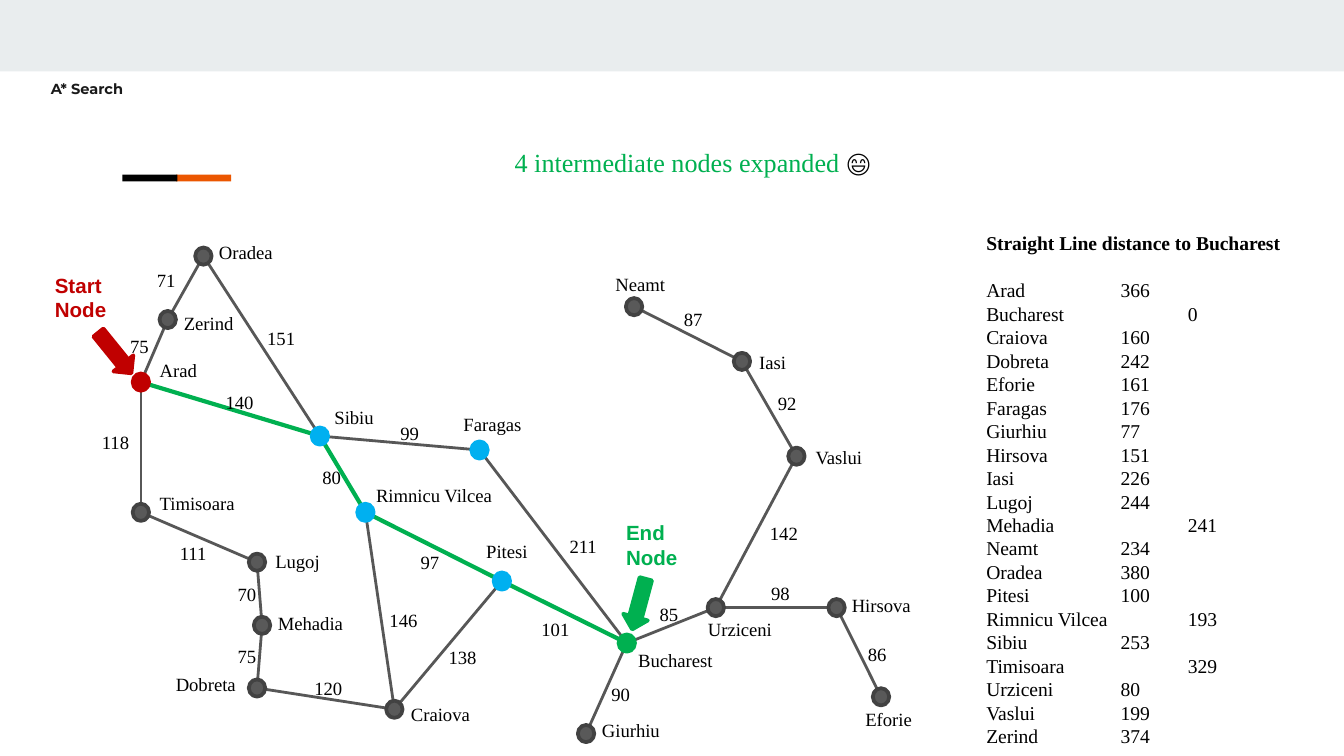
from math import hypot
from lxml import etree
from pptx import Presentation
from pptx.dml.color import RGBColor
from pptx.enum.shapes import MSO_CONNECTOR, MSO_SHAPE
from pptx.oxml.ns import qn
from pptx.util import Pt

RECT, OVAL, ARROW = MSO_SHAPE.RECTANGLE, MSO_SHAPE.OVAL, MSO_SHAPE.LEFT_ARROW
LINE = MSO_CONNECTOR.STRAIGHT
BLACK = RGBColor(0x00, 0x00, 0x00)
INK = RGBColor(0x1A, 0x1A, 0x1A)
BAND = RGBColor(0xE9, 0xED, 0xEE)
ORANGE = RGBColor(0xEB, 0x56, 0x00)
GRAY = RGBColor(0x59, 0x59, 0x59)
DARK = RGBColor(0x42, 0x42, 0x42)
ROAD = RGBColor(0x57, 0x57, 0x57)
BLUE = RGBColor(0x00, 0xB0, 0xF0)
RED = RGBColor(0xC0, 0x00, 0x00)
GREEN = RGBColor(0x00, 0xB0, 0x50)
SERIF = "Times New Roman"

deck = Presentation()
deck.slide_width, deck.slide_height = Pt(720), Pt(405)
slide = deck.slides.add_slide(deck.slide_layouts[6])
shapes = slide.shapes


def add_text(lines, x, y, w, h=18.7, size=10, font=SERIF, color=BLACK,
             bold=False, pad=3.6, wrap=True):
    frame = shapes.add_textbox(Pt(x), Pt(y), Pt(w), Pt(h)).text_frame
    frame.word_wrap = wrap
    frame.margin_left = frame.margin_right = Pt(7.2)
    frame.margin_top = frame.margin_bottom = Pt(pad)
    for i, line in enumerate(lines):
        para = frame.paragraphs[0] if i == 0 else frame.add_paragraph()
        run = para.add_run()
        run.text = line
        run.font.size, run.font.name, run.font.bold = Pt(size), font, bold
        run.font.color.rgb = color
    return frame


def add_shape(kind, x, y, w, h, fill, edge=None, turn=0):
    shape = shapes.add_shape(kind, Pt(x), Pt(y), Pt(w), Pt(h))
    shape.shadow.inherit = False
    shape.rotation = turn
    shape.fill.solid()
    shape.fill.fore_color.rgb = fill
    if edge is None:
        shape.line.fill.background()
    else:
        shape.line.color.rgb = edge
        shape.line.width = Pt(2)


# Top band, accent bars and headings
add_shape(RECT, 0, 0, 720, 38.3, BAND)
add_shape(RECT, 94.3, 93.6, 29.5, 3.6, ORANGE)
add_shape(RECT, 65.5, 93.6, 29.5, 3.6, BLACK)
add_text(["A* Search"], 20.2, 38.2, 128.9, 42.5, size=7.8, font="Montserrat",
         color=INK, bold=True, pad=7.2)
head = add_text(["4 intermediate nodes expanded "], 268.6, 74.9, 207.4, 40.3,
                size=14, color=GREEN)
smile = head.paragraphs[0].add_run()
smile.text = "\U0001F604"
smile.font.size, smile.font.name = Pt(14), "Arial"
smile.font.color.rgb = BLACK

# City: centre of node, left, top and width of label, distance to goal
cities = {
    "Arad": (75.5, 204.7, 78.5, 188.6, 44.6, 366),
    "Bucharest": (335.8, 344.5, 334.8, 344.2, 166.3, 0),
    "Craiova": (211.3, 380, 213.1, 373, 59.8, 160),
    "Dobreta": (137.7, 368.6, 87.1, 357.1, 57.6, 242),
    "Eforie": (472, 373.3, 456.5, 375.8, 49.7, 161),
    "Faragas": (256.9, 241.1, 241.2, 217.4, 49, 176),
    "Giurhiu": (314, 393, 315.4, 381.6, 45.4, 77),
    "Hirsova": (448.2, 325.5, 449.3, 314.6, 57.6, 151),
    "Iasi": (397.5, 193.6, 399.6, 184.3, 35.3, 226),
    "Lugoj": (137.7, 301.2, 140.4, 290.9, 44.6, 244),
    "Mehadia": (140.4, 335, 141.8, 324, 56.2, 241),
    "Neamt": (339.7, 164.3, 322.6, 142.6, 166.3, 234),
    "Oradea": (109, 137.2, 110.2, 125.3, 166.3, 380),
    "Pitesi": (268.9, 311.3, 253.4, 285.8, 44.6, 100),
    "Rimnicu Vilcea": (195.8, 274.5, 194.4, 255.6, 97.2, 193),
    "Sibiu": (171.4, 233.6, 172.1, 213.8, 43.9, 253),
    "Timisoara": (75.5, 274.5, 78.5, 259.9, 166.3, 329),
    "Urziceni": (383.5, 325.5, 372.2, 327.6, 57.6, 80),
    "Vaslui": (426.7, 244.4, 429.8, 235.4, 59, 199),
    "Zerind": (89.9, 171.2, 91.4, 163.4, 51.1, 374),
}
# Road: two cities, length, left and top of its label
roads = [
    ("Oradea", "Zerind", 71, 77, 140.4),
    ("Zerind", "Arad", 75, 62.6, 175.7),
    ("Arad", "Timisoara", 118, 47.5, 227.5),
    ("Oradea", "Sibiu", 151, 136.1, 171.4),
    ("Timisoara", "Lugoj", 111, 89.3, 286.6),
    ("Lugoj", "Mehadia", 70, 120.2, 308.9),
    ("Mehadia", "Dobreta", 75, 120.2, 342),
    ("Dobreta", "Craiova", 120, 161.3, 359.3),
    ("Craiova", "Rimnicu Vilcea", 146, 201.6, 322.6),
    ("Arad", "Sibiu", 140, 113.8, 205.9),
    ("Sibiu", "Rimnicu Vilcea", 80, 165.6, 246.2),
    ("Sibiu", "Faragas", 99, 207.4, 222.5),
    ("Faragas", "Bucharest", 211, 298.1, 283),
    ("Rimnicu Vilcea", "Pitesi", 97, 218.2, 291.6),
    ("Pitesi", "Craiova", 138, 233.3, 342.7),
    ("Bucharest", "Pitesi", 101, 283, 327.6),
    ("Bucharest", "Giurhiu", 90, 320.4, 362.2),
    ("Bucharest", "Urziceni", 85, 346.3, 319.7),
    ("Urziceni", "Hirsova", 98, 406.1, 308.2),
    ("Hirsova", "Eforie", 86, 457.9, 340.6),
    ("Vaslui", "Urziceni", 142, 405.4, 275.8),
    ("Vaslui", "Iasi", 92, 409.7, 206.6),
    ("Neamt", "Iasi", 87, 359.3, 161.3),
]
route = ["Arad", "Sibiu", "Rimnicu Vilcea", "Pitesi", "Bucharest"]
steps = [{a, b} for a, b in zip(route, route[1:])]

# Roads run from rim to rim of the nodes
RIM = 4.6
for a, b, _, _, _ in roads:
    (ax, ay), (bx, by) = cities[a][:2], cities[b][:2]
    span = hypot(bx - ax, by - ay)
    dx, dy = (bx - ax) / span * RIM, (by - ay) / span * RIM
    road = shapes.add_connector(LINE, Pt(ax + dx), Pt(ay + dy),
                                Pt(bx - dx), Pt(by - dy))
    best = {a, b} in steps
    road.line.color.rgb = GREEN if best else ROAD
    road.line.width = Pt(2.24 if best else 1.5)
    etree.SubElement(road._element.spPr, qn("a:effectLst"))

# Road lengths and city names
for _, _, miles, x, y in roads:
    add_text([str(miles)], x, y, 31)
for name, (_, _, x, y, w, _) in cities.items():
    add_text([name], x, y, w, wrap=name != "Giurhiu")

# Start and end marks
for word, color, x, y, left, top, turn in [
    ("Start", RED, 22.3, 142.6, 47.5, 182.2, 231),
    ("End", GREEN, 328.3, 275, 328.3, 316.8, 285.1),
]:
    add_shape(ARROW, left, top, 28.1, 13.7, color, color, turn)
    add_text([word, "Node"], x, y, 52.6, 33.1, size=11, font="Arial",
             color=color, bold=True)

# Nodes
tints = {"Arad": (RED, RED), "Bucharest": (GREEN, GREEN)}
for name in ["Sibiu", "Rimnicu Vilcea", "Faragas", "Pitesi"]:
    tints[name] = (BLUE, BLUE)
for name, (x, y, *_) in cities.items():
    fill, edge = tints.get(name, (GRAY, DARK))
    add_shape(OVAL, x - 4.4, y - 4.6, 8.8, 9.2, fill, edge)

# Distance list
rows = [f"{name}\t\t{city[5]}" for name, city in cities.items()]
table = add_text(["Straight Line distance to Bucharest"] + rows,
                 521.3, 120.2, 208.1, 277.2, size=10.5)
title = table.paragraphs[0]
title.runs[0].font.bold = True
title.space_after = Pt(12.6)

deck.save("out.pptx")
